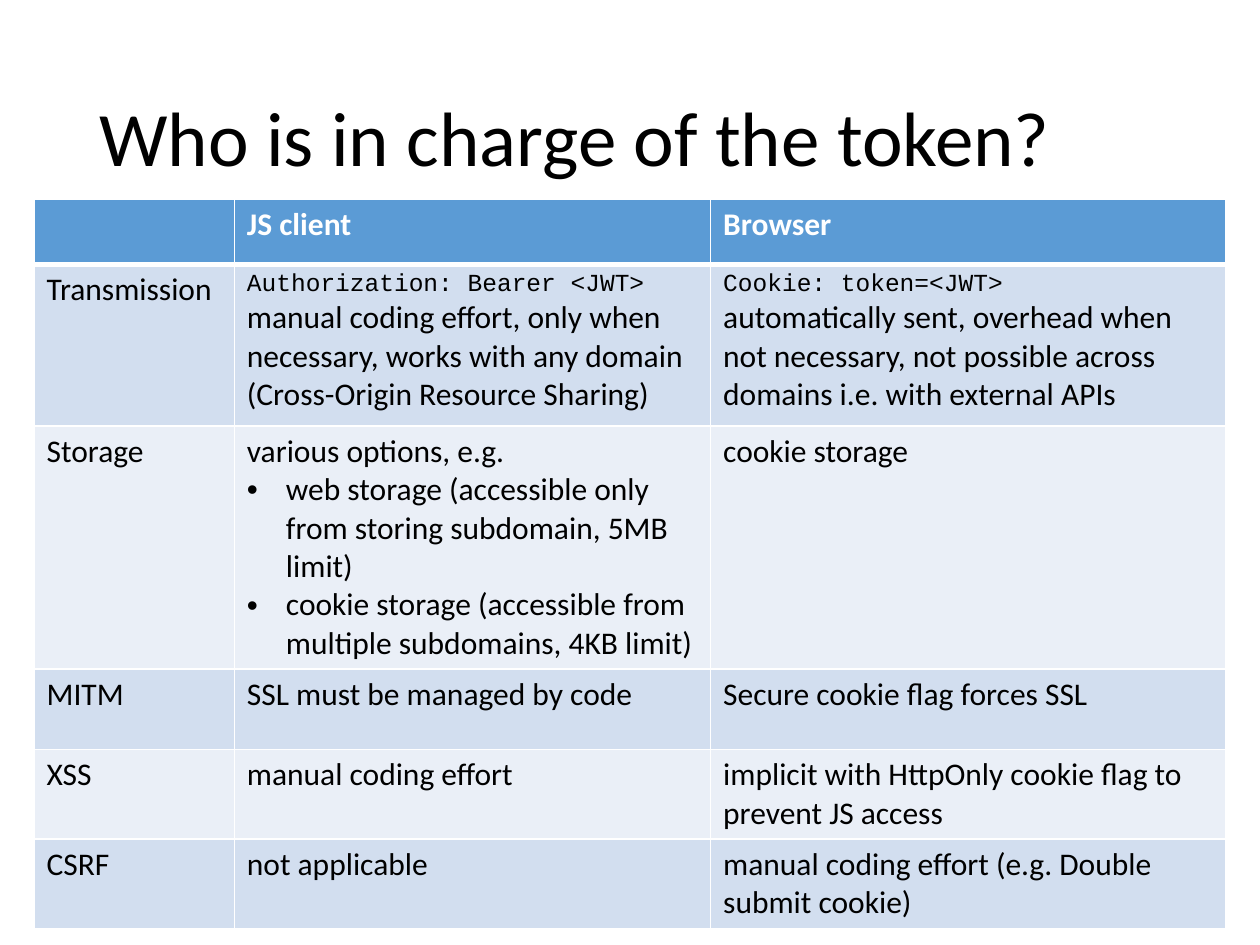
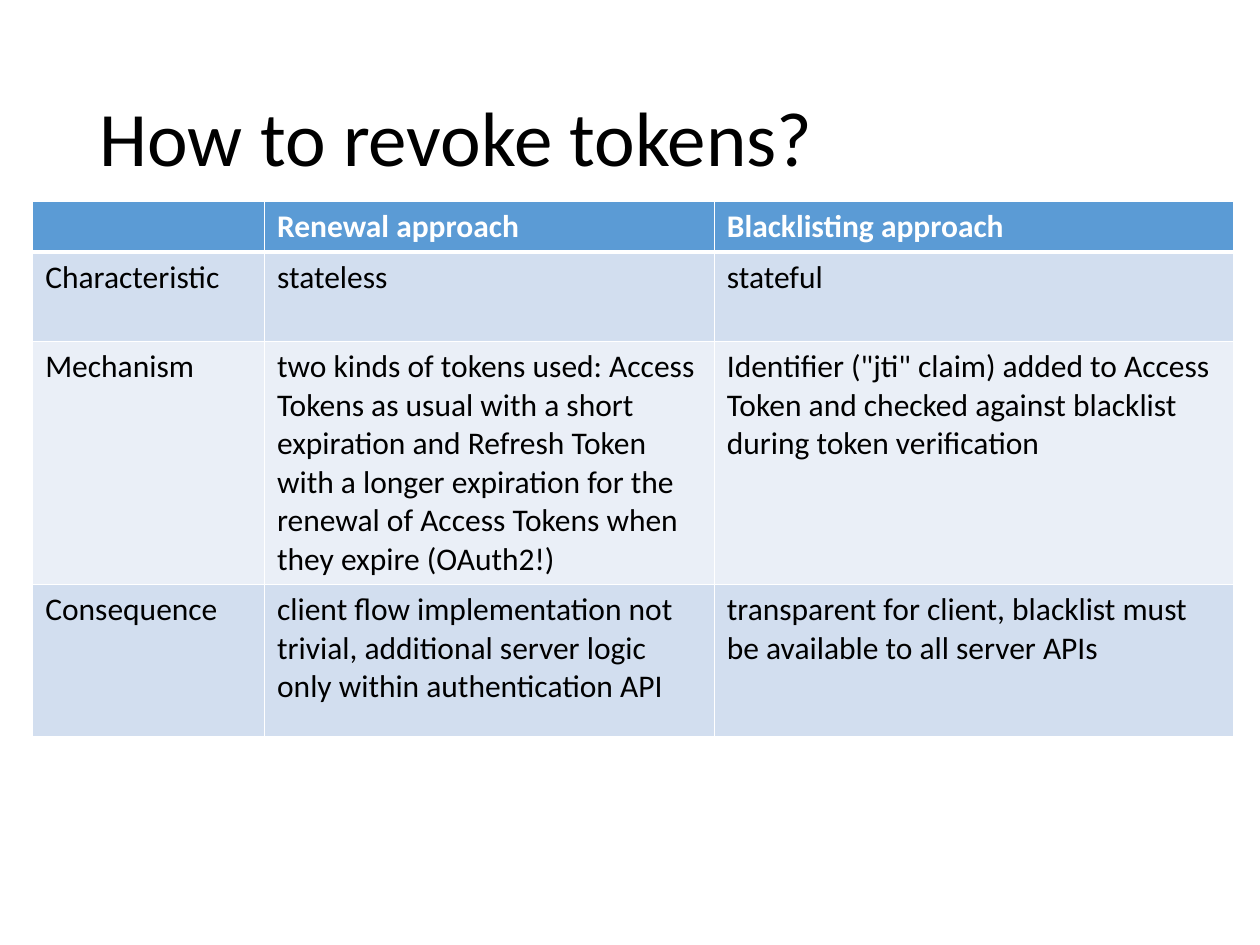
from dataclasses import dataclass

from pptx import Presentation
from pptx.dml.color import RGBColor as Color
from pptx.enum.text import MSO_ANCHOR as Anchor
from pptx.oxml.ns import qn
from pptx.util import Inches, Pt
from lxml.etree import SubElement


@dataclass(frozen=True)
class Theme:
    text: str = "000000"
    header_text: str = "FFFFFF"
    header_fill: str = "5B9BD5"
    bands: tuple = ("D2DEEF", "EAEFF7")
    border: str = "FFFFFF"
    thin: float = 1
    thick: float = 3
    font: str = "Calibri"
    code_font: str = "Courier New"
    title_size: int = 44
    body_size: int = 18
    code_size: int = 14


theme = Theme()

# A square grid: 100 columns by 75 rows cover the slide.
COLUMNS, ROWS = 100, 75
UNIT = Inches(10) // COLUMNS
TITLE_BOX = (6.9, 4, 86.2, 14.5)
BULLET_INDENT = 3.1

# Each cell is a list of (kind, text) paragraphs, or a plain string.
slides = [
    {
        "title": "Who is in charge of the token?",
        "origin": (2.7, 15.8),
        "columns": (15.9, 37.8, 40.9),
        "rows": (5.2, 12.8, 19.3, 6.4, 7.1, 7.1),
        "cells": [
            ["", "JS client", "Browser"],
            ["Transmission",
             [("code", "Authorization: Bearer <JWT>"),
              ("body", "manual coding effort, only when necessary, works with any "
                       "domain (Cross-Origin Resource Sharing)")],
             [("code", "Cookie: token=<JWT>"),
              ("body", "automatically sent, overhead when not necessary, not possible "
                       "across domains i.e. with external APIs")]],
            ["Storage",
             [("body", "various options, e.g."),
              ("bullet", "web storage (accessible only from storing subdomain, 5MB limit)"),
              ("bullet", "cookie storage (accessible from multiple subdomains, 4KB limit)")],
             "cookie storage"],
            ["MITM", "SSL must be managed by code", "Secure cookie flag forces SSL"],
            ["XSS", "manual coding effort",
             "implicit with HttpOnly cookie flag to prevent JS access"],
            ["CSRF", "not applicable",
             "manual coding effort (e.g. Double submit cookie)"],
        ],
    },
    {
        "title": "How to revoke tokens?",
        "origin": (2.6, 16),
        "columns": (18.4, 35.7, 41.2),
        "rows": (3.9, 7.1, 19.3, 12.1),
        "cells": [
            ["", "Renewal approach", "Blacklisting approach"],
            ["Characteristic", "stateless", "stateful"],
            ["Mechanism",
             "two kinds of tokens used: Access Tokens as usual with a short expiration "
             "and Refresh Token with a longer expiration for the renewal of Access "
             "Tokens when they expire (OAuth2!)",
             "Identifier (\"jti\" claim) added to Access Token and checked against "
             "blacklist during token verification"],
            ["Consequence",
             "client flow implementation not trivial, additional server logic only "
             "within authentication API",
             "transparent for client, blacklist must be available to all server APIs"],
        ],
    },
]


def grid(*steps):
    return [round(step * UNIT) for step in steps]


def add_run(paragraph, text, size, color, font=theme.font, bold=False):
    run = paragraph.add_run()
    run.text = text
    run.font.name = font
    run.font.size = Pt(size)
    run.font.bold = bold
    run.font.color.rgb = Color.from_string(color)


presentation = Presentation()
presentation.slide_width, presentation.slide_height = grid(COLUMNS, ROWS)

for content in slides:
    slide = presentation.slides.add_slide(presentation.slide_layouts[6])

    title = slide.shapes.add_textbox(*grid(*TITLE_BOX)).text_frame
    title.word_wrap = True
    title.vertical_anchor = Anchor.MIDDLE
    title.paragraphs[0].line_spacing = 0.9
    add_run(title.paragraphs[0], content["title"], theme.title_size, theme.text)

    widths, heights = content["columns"], content["rows"]
    table = slide.shapes.add_table(
        len(heights), len(widths),
        *grid(*content["origin"], sum(widths), sum(heights))).table
    for column, width in zip(table.columns, grid(*widths)):
        column.width = width
    for row, height in zip(table.rows, grid(*heights)):
        row.height = height

    for row_index, row_cells in enumerate(content["cells"]):
        is_header = row_index == 0
        fill = theme.header_fill if is_header else theme.bands[(row_index - 1) % 2]
        color = theme.header_text if is_header else theme.text
        borders = {
            "a:lnL": theme.thin,
            "a:lnR": theme.thin,
            "a:lnT": theme.thick if row_index == 1 else theme.thin,
            "a:lnB": theme.thick if is_header else theme.thin,
        }
        for column_index, entry in enumerate(row_cells):
            cell = table.cell(row_index, column_index)

            # Borders come before the fill in the cell properties.
            properties = cell._tc.get_or_add_tcPr()
            for side, weight in borders.items():
                line = SubElement(properties, qn(side), w=str(Pt(weight)))
                solid = SubElement(line, qn("a:solidFill"))
                SubElement(solid, qn("a:srgbClr"), val=theme.border)
            cell.fill.solid()
            cell.fill.fore_color.rgb = Color.from_string(fill)

            if not entry:
                continue
            parts = [("body", entry)] if isinstance(entry, str) else entry
            for part_index, (kind, text) in enumerate(parts):
                frame = cell.text_frame
                paragraph = frame.add_paragraph() if part_index else frame.paragraphs[0]
                if kind == "code":
                    add_run(paragraph, text, theme.code_size, color, theme.code_font)
                else:
                    add_run(paragraph, text, theme.body_size, color, bold=is_header)
                if kind == "bullet":
                    indent = grid(BULLET_INDENT)[0]
                    bullet = paragraph._p.get_or_add_pPr()
                    bullet.set("marL", str(indent))
                    bullet.set("indent", str(-indent))
                    SubElement(bullet, qn("a:buFont"), typeface="Arial")
                    SubElement(bullet, qn("a:buChar"), char="•")

presentation.save("out.pptx")
